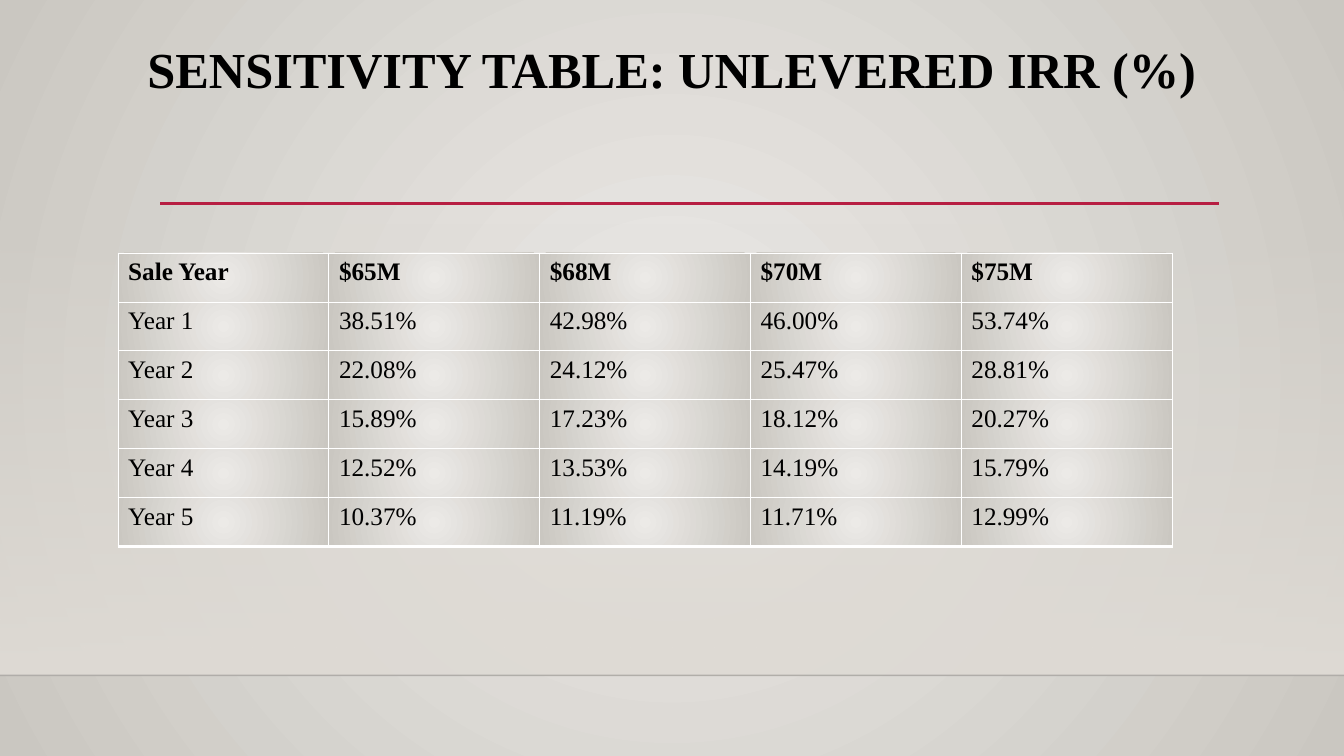
from lxml.etree import SubElement
from pptx import Presentation
from pptx.dml.color import RGBColor
from pptx.enum.shapes import MSO_CONNECTOR, MSO_SHAPE
from pptx.enum.text import MSO_ANCHOR, PP_ALIGN
from pptx.oxml import parse_xml
from pptx.oxml.ns import nsdecls, qn
from pptx.util import Pt

BLACK = RGBColor(0x00, 0x00, 0x00)
NEAR_BLACK = RGBColor(0x00, 0x00, 0x01)
WHITE = RGBColor(0xFF, 0xFF, 0xFF)
CRIMSON = RGBColor(0xB7, 0x1E, 0x42)
PALE = RGBColor(0xEC, 0xEA, 0xE7)
STONE = RGBColor(0xCA, 0xC7, 0xC1)
SAND = RGBColor(0xDF, 0xDB, 0xD5)
FONT = "Times New Roman"


def fill_radial(fill):
    fill.gradient()
    for stop, color in zip(fill.gradient_stops, (PALE, STONE)):
        stop.color.rgb = color
    gradient = fill._fill._gradFill
    gradient.replace(gradient.find(qn("a:lin")), parse_xml(
        f'<a:path {nsdecls("a")} path="circle">'
        '<a:fillToRect l="50000" t="50000" r="50000" b="50000"/></a:path>'))


def add_rule(page, left, right, top, color, width):
    rule = page.shapes.add_connector(
        MSO_CONNECTOR.STRAIGHT, Pt(left), Pt(top), Pt(right), Pt(top))
    rule.line.color.rgb = color
    rule.line.width = Pt(width)
    SubElement(rule._element.spPr, qn("a:effectLst"))
    return rule


deck = Presentation()
deck.slide_width = Pt(960)
deck.slide_height = Pt(540)
page = deck.slides.add_slide(deck.slide_layouts[5])
fill_radial(page.background.fill)

band = page.shapes.add_shape(MSO_SHAPE.RECTANGLE, 0, Pt(159), Pt(960), Pt(323.4))
band.shadow.inherit = False
band.line.fill.background()
band.fill.gradient()
band.fill.gradient_angle = 270
for stop in band.fill.gradient_stops:
    stop.color.rgb = SAND
clear_color = band.fill._fill._gradFill.find(".//" + qn("a:srgbClr"))
SubElement(clear_color, qn("a:alpha"), val="0")

floor_line = add_rule(page, 0, 960, 482.4, NEAR_BLACK, 1)
floor_color = floor_line.line._ln.find(".//" + qn("a:srgbClr"))
SubElement(floor_color, qn("a:alpha"), val="20000")
add_rule(page, 114.5, 871, 145.3, CRIMSON, 2.5)

title = page.shapes.title
title.left, title.top, title.width, title.height = Pt(66), Pt(28.8), Pt(828), Pt(98.6)
title.text_frame.vertical_anchor = MSO_ANCHOR.TOP
title.text_frame.word_wrap = True
para = title.text_frame.paragraphs[0]
para.text = "SENSITIVITY TABLE: UNLEVERED IRR (%)"
para.alignment = PP_ALIGN.CENTER
para.line_spacing = 0.9
para.font.name = FONT
para.font.size = Pt(36)
para.font.bold = True
para.font.color.rgb = BLACK

rows = [
    ("Sale Year", "$65M", "$68M", "$70M", "$75M"),
    ("Year 1", "38.51%", "42.98%", "46.00%", "53.74%"),
    ("Year 2", "22.08%", "24.12%", "25.47%", "28.81%"),
    ("Year 3", "15.89%", "17.23%", "18.12%", "20.27%"),
    ("Year 4", "12.52%", "13.53%", "14.19%", "15.79%"),
    ("Year 5", "10.37%", "11.19%", "11.71%", "12.99%"),
]
table = page.shapes.add_table(
    len(rows), len(rows[0]), Pt(84.4), Pt(180.7), Pt(753), Pt(210)).table
table.first_row = False
table.horz_banding = False
for row_index, row in enumerate(rows):
    for column_index, value in enumerate(row):
        cell = table.cell(row_index, column_index)
        cell.text = value
        para = cell.text_frame.paragraphs[0]
        para.font.name = FONT
        para.font.size = Pt(18)
        para.font.bold = row_index == 0
        para.font.color.rgb = BLACK
        fill_radial(cell.fill)
        for position, side in enumerate(("lnL", "lnR", "lnT", "lnB")):
            thick = side == "lnB" and row_index == len(rows) - 1
            width = Pt(2.25 if thick else 0.75)
            cell._tc.tcPr.insert(position, parse_xml(
                f'<a:{side} {nsdecls("a")} w="{width}"><a:solidFill>'
                f'<a:srgbClr val="{WHITE}"/></a:solidFill></a:{side}>'))

deck.save("out.pptx")
